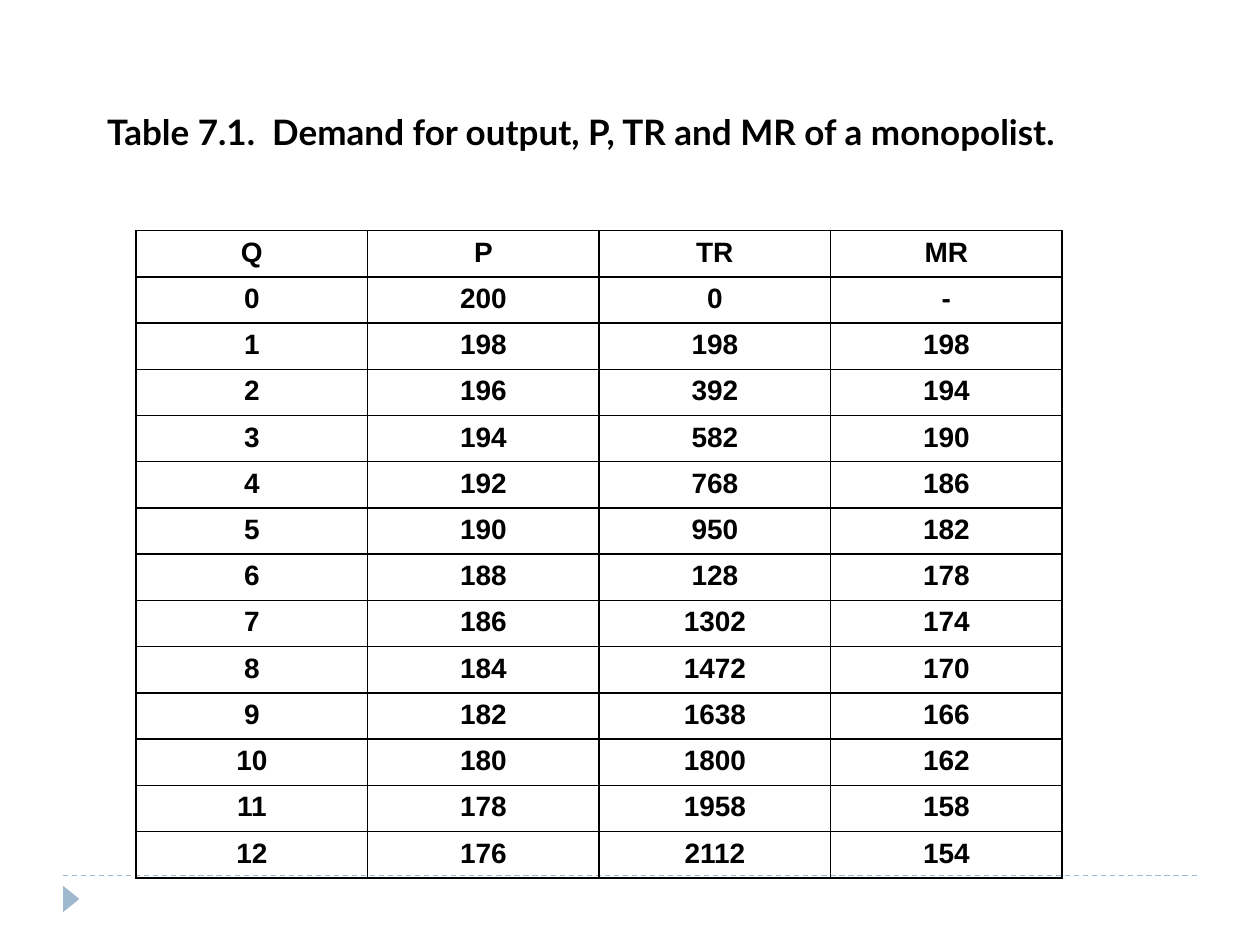
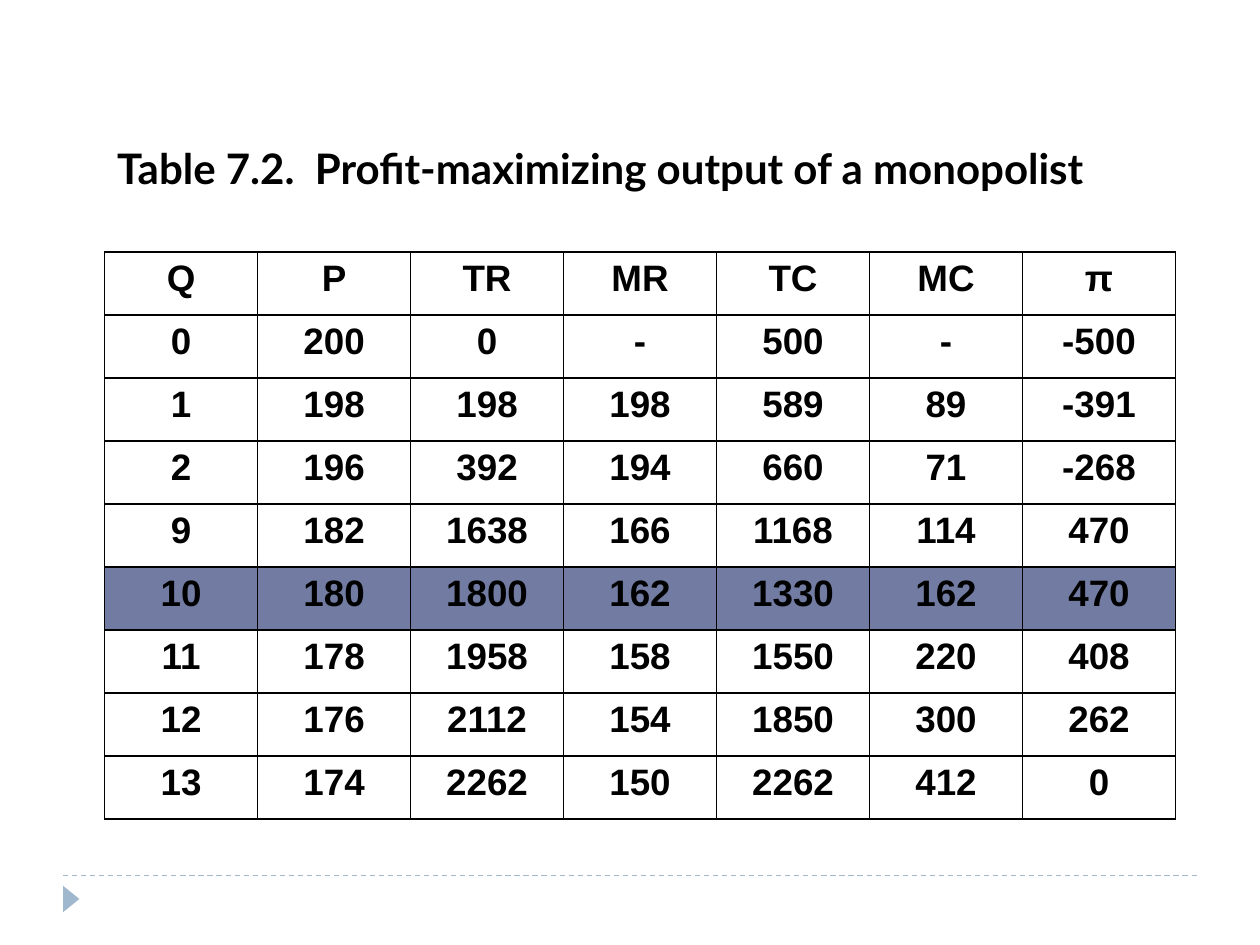
from lxml import etree
from pptx import Presentation
from pptx import util as u
from pptx.dml.color import RGBColor
from pptx.enum import dml, shapes, text
from pptx.oxml.ns import qn

BLACK, ACCENT, HIGHLIGHT = "000000", "9FB8CD", "727CA3"
HANGING = u.Inches(0.38)


def colour(hex_code):
    return RGBColor.from_string(hex_code)


def add_borders(cell):
    properties = cell._tc.get_or_add_tcPr()
    for side in ("lnL", "lnR", "lnT", "lnB"):
        border = etree.SubElement(properties, qn("a:" + side), w=str(u.Pt(1)))
        fill = etree.SubElement(border, qn("a:solidFill"))
        etree.SubElement(fill, qn("a:srgbClr"), val=BLACK)


# Table contents, one row a line
demand = """Q P TR MR
0 200 0 -
1 198 198 198
2 196 392 194
3 194 582 190
4 192 768 186
5 190 950 182
6 188 128 178
7 186 1302 174
8 184 1472 170
9 182 1638 166
10 180 1800 162
11 178 1958 158
12 176 2112 154"""

profit = """Q P TR MR TC MC π
0 200 0 - 500 - -500
1 198 198 198 589 89 -391
2 196 392 194 660 71 -268
9 182 1638 166 1168 114 470
10 180 1800 162 1330 162 470
11 178 1958 158 1550 220 408
12 176 2112 154 1850 300 262
13 174 2262 150 2262 412 0"""

# Title, its place and size; table, its place and size; highlighted output
pages = [
    ("Table 7.1.  Demand for output, P, TR and MR of a monopolist.",
     (0.75, 0.83, 8.58, 0.43), 20, demand, (1.08, 1.83, 7.35, 5.13), 16, None),
    ("Table 7.2.  Profit-maximizing output of a monopolist",
     (0.83, 1.08, 8.67, 0.5), 24, profit, (0.83, 2, 8.5, 4.5), 21, "10"),
]

prs = Presentation()
prs.slide_width, prs.slide_height = u.Inches(10), u.Inches(7.5)

for heading, heading_box, heading_size, data, grid_box, grid_size, best_output in pages:
    slide = prs.slides.add_slide(prs.slide_layouts[5])

    # Footer: dashed rule and marker
    rule = slide.shapes.add_connector(
        shapes.MSO_CONNECTOR.STRAIGHT,
        u.Inches(0.5), u.Inches(6.95), u.Inches(9.5), u.Inches(6.95))
    rule.line.color.rgb = colour(ACCENT)
    rule.line.width = u.Pt(0.75)
    rule.line.dash_style = dml.MSO_LINE.DASH
    etree.SubElement(rule._element.spPr, qn("a:effectLst"))

    marker = slide.shapes.add_shape(
        shapes.MSO_SHAPE.ISOSCELES_TRIANGLE,
        u.Inches(0.46), u.Inches(7.07), u.Inches(0.21), u.Inches(0.13))
    marker.rotation = 90
    marker.shadow.inherit = False
    marker.fill.solid()
    marker.fill.fore_color.rgb = colour(ACCENT)
    marker.line.fill.background()

    # Title
    title = slide.shapes.title
    title.left, title.top, title.width, title.height = map(u.Inches, heading_box)
    title.text_frame.text = heading
    title.text_frame.word_wrap = True
    title.text_frame.auto_size = text.MSO_AUTO_SIZE.SHAPE_TO_FIT_TEXT
    title.text_frame.vertical_anchor = text.MSO_ANCHOR.MIDDLE
    line = title.text_frame.paragraphs[0]
    line.alignment = text.PP_ALIGN.LEFT
    line.font.name, line.font.size, line.font.bold = "Lato", u.Pt(heading_size), True
    line.font.color.rgb = colour(BLACK)

    # Table with equal rows and columns
    records = [record.split() for record in data.splitlines()]
    grid = slide.shapes.add_table(
        len(records), len(records[0]), *map(u.Inches, grid_box)).table
    grid.first_row = grid.horz_banding = False
    for r, record in enumerate(records):
        for c, value in enumerate(record):
            cell = grid.cell(r, c)
            cell.text = value
            add_borders(cell)
            if record[0] == best_output:
                cell.fill.solid()
                cell.fill.fore_color.rgb = colour(HIGHLIGHT)
            else:
                cell.fill.background()
            entry = cell.text_frame.paragraphs[0]
            entry.alignment = text.PP_ALIGN.CENTER
            indents = entry._p.get_or_add_pPr()
            indents.set("marL", str(HANGING))
            indents.set("indent", str(-HANGING))
            entry.font.name, entry.font.size, entry.font.bold = "Arial", u.Pt(grid_size), True
            entry.font.color.rgb = colour(BLACK)

prs.save("out.pptx")
